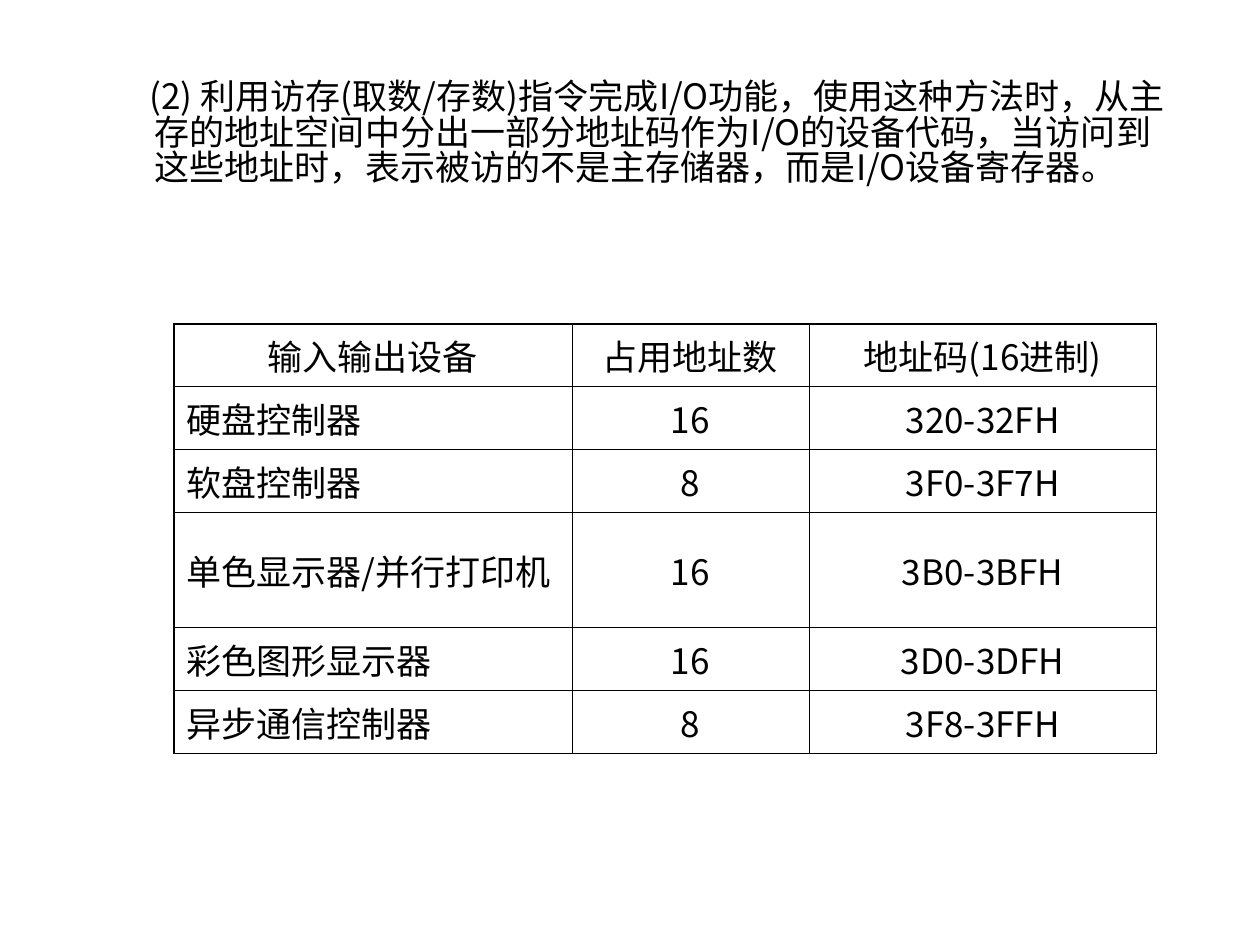
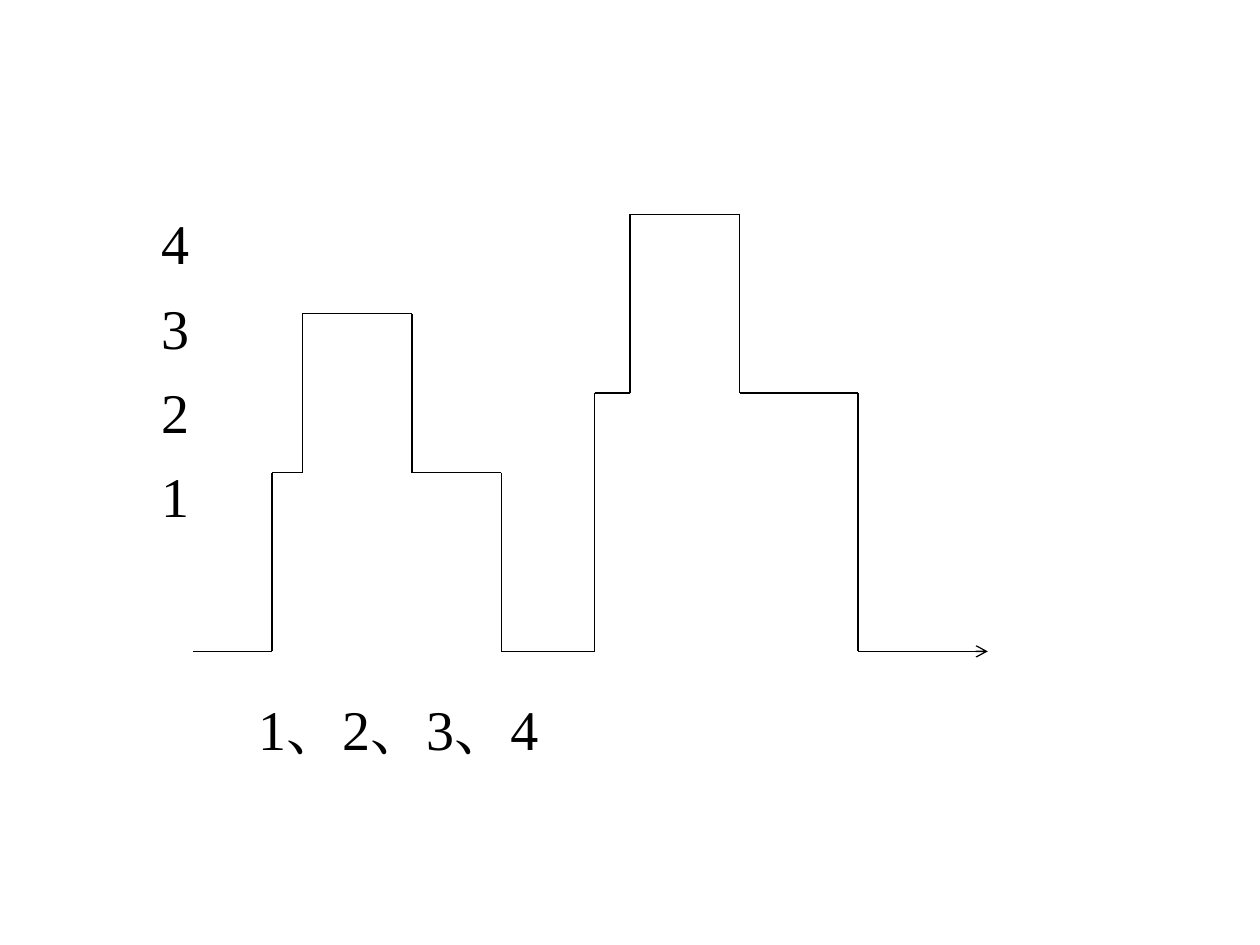
import itertools

import lxml.etree
import pptx
import pptx.dml.color
import pptx.enum.shapes
import pptx.enum.text
import pptx.oxml.ns
import pptx.util

Inches = pptx.util.Inches
Pt = pptx.util.Pt
qn = pptx.oxml.ns.qn
ALIGN = pptx.enum.text.PP_ALIGN

COLORS = {"ink": "000000", "paper": "FFFFFF"}
SANS = "Noto Sans CJK SC"
SERIF = "Times New Roman"
OUTER_BORDER, INNER_BORDER = 1.08, 0.45

METHOD_TEXT = (
    "(2) 利用访存(取数/存数)指令完成I/O功能，使用这种方法时，"
    "从主存的地址空间中分出一部分地址码作为I/O的设备代码，"
    "当访问到这些地址时，表示被访的不是主存储器，而是I/O设备寄存器。"
)
DEVICE_ROWS = [
    ("输入输出设备", "占用地址数", "地址码(16进制)"),
    ("硬盘控制器", "16", "320-32FH"),
    ("软盘控制器", "8", "3F0-3F7H"),
    ("单色显示器/并行打印机", "16", "3B0-3BFH"),
    ("彩色图形显示器", "16", "3D0-3DFH"),
    ("异步通信控制器", "8", "3F8-3FFH"),
]
COLUMN_WIDTHS = (3.16, 1.88, 2.76)
ROW_HEIGHTS = (0.5, 0.5, 0.5, 0.91, 0.5, 0.5)

# Waveform corners, relative to the left end of its base line
WAVE_POINTS = [
    (0, 0), (0.63, 0), (0.63, -1.42), (0.87, -1.42), (0.87, -2.68),
    (1.74, -2.68), (1.74, -1.42), (2.45, -1.42), (2.45, 0),
    (3.19, 0), (3.19, -2.05), (3.47, -2.05), (3.47, -3.47),
    (4.34, -3.47), (4.34, -2.05), (5.28, -2.05), (5.28, 0), (6.31, 0),
]


def rgb(name):
    return pptx.dml.color.RGBColor.from_string(COLORS[name])


def add_run(paragraph, text, font_name, size):
    run = paragraph.add_run()
    run.text = text
    run.font.size = Pt(size)
    run.font.color.rgb = rgb("ink")
    run.font.name = font_name
    properties = run._r.get_or_add_rPr()
    lxml.etree.SubElement(properties, qn("a:ea"), typeface=font_name)


def add_text(slide, box, lines, font_name, size, gap=0):
    """Add a text box with one paragraph per line and return its paragraphs."""
    frame = slide.shapes.add_textbox(*map(Inches, box)).text_frame
    frame.word_wrap = True
    for index, line in enumerate(lines):
        paragraph = frame.add_paragraph() if index else frame.paragraphs[0]
        if index:
            paragraph.space_before = Pt(gap)
        add_run(paragraph, line, font_name, size)
    return frame.paragraphs


def add_method_paragraph(slide, box):
    paragraph = add_text(slide, box, [METHOD_TEXT], SANS, 20)[0]
    paragraph.line_spacing = 0.84
    properties = paragraph._p.get_or_add_pPr()
    properties.set("marL", str(Inches(0.38)))
    properties.set("indent", str(Inches(-0.04)))


def set_border(cell, side, width):
    properties = cell._tc.get_or_add_tcPr()
    line = lxml.etree.SubElement(properties, qn("a:ln" + side), w=str(Pt(width)))
    fill = lxml.etree.SubElement(line, qn("a:solidFill"))
    lxml.etree.SubElement(fill, qn("a:srgbClr"), val=COLORS["ink"])


def add_device_table(slide, left, top):
    row_count, column_count = len(ROW_HEIGHTS), len(COLUMN_WIDTHS)
    box = (left, top, sum(COLUMN_WIDTHS), sum(ROW_HEIGHTS))
    table = slide.shapes.add_table(row_count, column_count, *map(Inches, box)).table
    table.first_row = table.horz_banding = False
    for column, width in zip(table.columns, COLUMN_WIDTHS):
        column.width = Inches(width)
    for row, height in zip(table.rows, ROW_HEIGHTS):
        row.height = Inches(height)

    for r, c in itertools.product(range(row_count), range(column_count)):
        cell = table.cell(r, c)
        outer_sides = {
            "L": c == 0,
            "R": c == column_count - 1,
            "T": r == 0,
            "B": r == row_count - 1,
        }
        for side, outer in outer_sides.items():
            set_border(cell, side, OUTER_BORDER if outer else INNER_BORDER)
        cell.fill.background()
        cell.vertical_anchor = pptx.enum.text.MSO_ANCHOR.MIDDLE
        paragraph = cell.text_frame.paragraphs[0]
        paragraph.alignment = ALIGN.LEFT if r and c == 0 else ALIGN.CENTER
        add_run(paragraph, DEVICE_ROWS[r][c], SANS, 20)


def add_waveform(slide, left, base):
    """Join the corners with straight lines; the last one ends in an arrow."""
    for start, end in itertools.pairwise(WAVE_POINTS):
        ends = [Inches(origin + offset)
                for point in (start, end)
                for origin, offset in zip((left, base), point)]
        connector = slide.shapes.add_connector(
            pptx.enum.shapes.MSO_CONNECTOR.STRAIGHT, *ends)
        connector.line.color.rgb = rgb("ink")
        connector.line.width = Pt(0.75)
        lxml.etree.SubElement(connector._element.spPr, qn("a:effectLst"))
    line = connector.line._get_or_add_ln()
    lxml.etree.SubElement(line, qn("a:tailEnd"), type="arrow")


def add_slide(presentation):
    slide = presentation.slides.add_slide(presentation.slide_layouts[6])
    slide.background.fill.solid()
    slide.background.fill.fore_color.rgb = rgb("paper")
    return slide


def build_address_slide(presentation):
    slide = add_slide(presentation)
    add_method_paragraph(slide, (0.75, 0.6, 8.74, 1.5))
    add_device_table(slide, 1.38, 2.57)


def build_waveform_slide(presentation):
    slide = add_slide(presentation)
    add_text(slide, (1.18, 1.61, 0.6, 2.6), "4321", SERIF, 32, gap=9.75)
    add_text(slide, (1.95, 5.46, 4, 0.65), ["1、2、3、4"], SERIF, 32)
    add_waveform(slide, 1.53, 5.17)


def main():
    presentation = pptx.Presentation()
    presentation.slide_width = Inches(10)
    presentation.slide_height = Inches(7.5)
    build_address_slide(presentation)
    build_waveform_slide(presentation)
    presentation.save("out.pptx")


if __name__ == "__main__":
    main()
